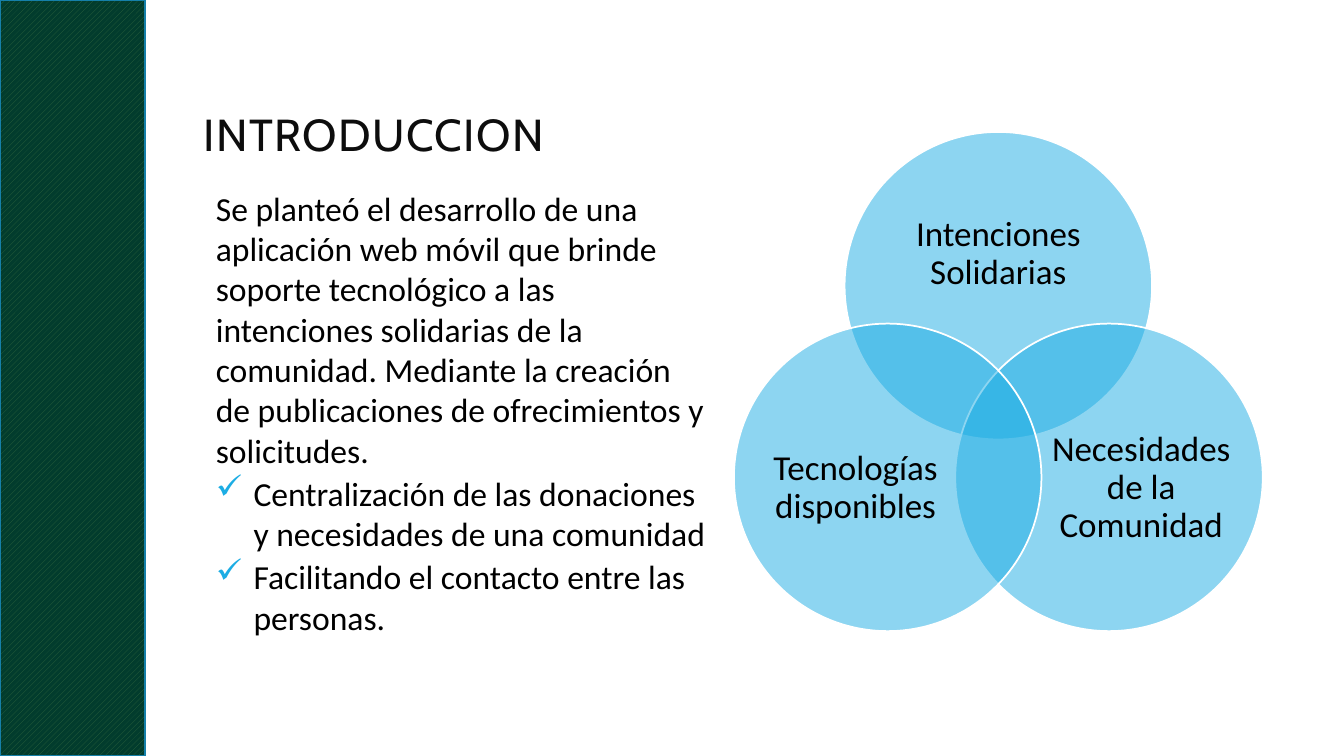
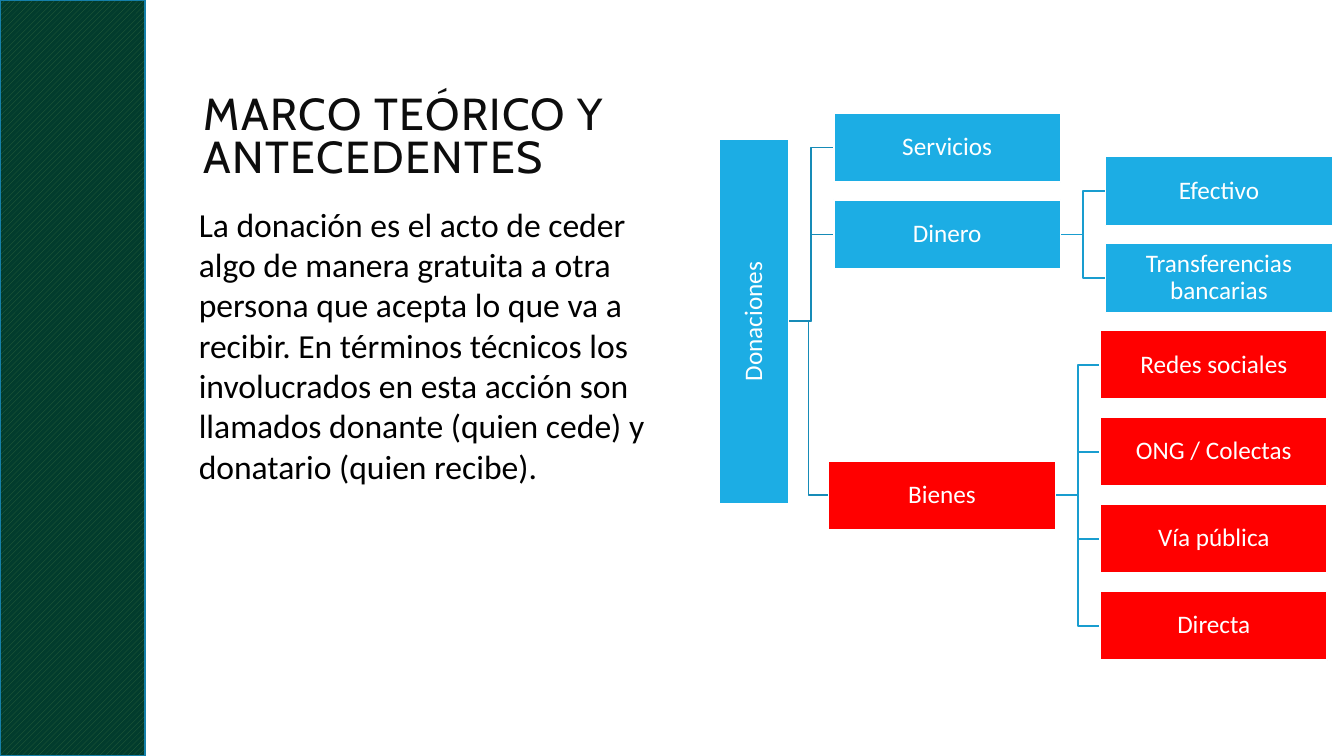
import math

from lxml import etree
from pptx import Presentation
from pptx import util as u
from pptx.dml.color import RGBColor
from pptx.enum import dml, shapes, text
from pptx.oxml.ns import qn

BLUE = RGBColor(0x1C, 0xAD, 0xE4)
RED = RGBColor(0xFF, 0x00, 0x00)
WHITE = RGBColor(0xFF, 0xFF, 0xFF)
BLACK = RGBColor(0x00, 0x00, 0x00)
TITLE_INK = RGBColor(0x0D, 0x0D, 0x0D)
BAND_DARK = RGBColor(0x02, 0x3C, 0x2D)
BAND_STRIPE = RGBColor(0x2F, 0x66, 0x3E)
BAND_EDGE = RGBColor(0x15, 0x80, 0xA9)
TRUNK_LINE = RGBColor(0x16, 0x8B, 0xB7)
BRANCH_LINE = RGBColor(0x19, 0x9D, 0xCF)

TITLE_FONT, BODY_FONT = "Cabin", "Calibri"
LINE_WIDTH = u.Pt(1.25)
CENTER = text.PP_ALIGN.CENTER


class Deck:
    """Holds the presentation, its style and the current slide."""

    def __init__(self):
        """Start a wide, empty presentation."""
        self.presentation = Presentation()
        self.presentation.slide_width = u.Cm(33.87)
        self.presentation.slide_height = u.Cm(19.05)
        self.slide = None

    def new_slide(self, title):
        """Add a slide with the shared title style and side band."""
        layout = self.presentation.slide_layouts.get_by_name("Title Only")
        self.slide = self.presentation.slides.add_slide(layout)
        shape = self.slide.shapes.title
        shape.left, shape.top = u.Cm(4.88), u.Cm(2.44)
        shape.width, shape.height = u.Cm(13.79), u.Cm(2.13)
        frame = shape.text_frame
        frame.auto_size = text.MSO_AUTO_SIZE.NONE
        frame.vertical_anchor = text.MSO_ANCHOR.MIDDLE
        paragraph = frame.paragraphs[0]
        paragraph.alignment = text.PP_ALIGN.LEFT
        paragraph.line_spacing = 0.8
        run = self.run(paragraph, title, 32, TITLE_INK, TITLE_FONT)
        run._r.get_or_add_rPr().set("spc", "100")

        band = self.shape(shapes.MSO_SHAPE.RECTANGLE, 0, 0, 3.66, 19.05,
                          BAND_DARK, BAND_EDGE)
        band.fill.patterned()
        band.fill.pattern = dml.MSO_PATTERN.WIDE_UPWARD_DIAGONAL
        band.fill.fore_color.rgb = BAND_STRIPE
        band.fill.back_color.rgb = BAND_DARK

    def run(self, paragraph, words, size, color, font=BODY_FONT):
        """Add one formatted run to a paragraph."""
        run = paragraph.add_run()
        run.text = words
        run.font.size = u.Pt(size)
        run.font.name = font
        run.font.color.rgb = color
        return run

    def shape(self, kind, left, top, width, height, fill, line=WHITE):
        """Add a flat preset shape."""
        shape = self.slide.shapes.add_shape(
            kind, u.Cm(left), u.Cm(top), u.Cm(width), u.Cm(height))
        shape.shadow.inherit = False
        shape.fill.solid()
        shape.fill.fore_color.rgb = fill
        shape.line.color.rgb = line
        shape.line.width = LINE_WIDTH
        return shape

    def frame(self, shape, margin):
        """Return a wrapping text frame with equal margins."""
        frame = shape.text_frame
        frame.word_wrap = True
        frame.margin_left = frame.margin_right = u.Cm(margin)
        frame.margin_top = frame.margin_bottom = u.Cm(margin)
        return frame

    def label(self, shape, words, size, color, margin=0.0):
        """Centre a label in a shape or text box."""
        frame = self.frame(shape, margin)
        frame.vertical_anchor = text.MSO_ANCHOR.MIDDLE
        paragraph = frame.paragraphs[0]
        paragraph.alignment = CENTER
        paragraph.line_spacing = 0.9
        self.run(paragraph, words, size, color)

    def text_box(self, left, top, width, height):
        """Add an empty text box."""
        return self.slide.shapes.add_textbox(
            u.Cm(left), u.Cm(top), u.Cm(width), u.Cm(height))

    def body(self, left, top, width, height, intro, points=()):
        """Add an introduction, followed by ticked points."""
        frame = self.frame(self.text_box(left, top, width, height), 0.13)
        for index, words in enumerate([intro, *points]):
            paragraph = frame.add_paragraph() if index else frame.paragraphs[0]
            paragraph.space_after = u.Pt(2)
            if index:
                self.tick(paragraph)
            self.run(paragraph, words, 24, BLACK)

    def tick(self, paragraph):
        """Give a paragraph a hanging tick bullet."""
        properties = paragraph._p.get_or_add_pPr()
        indent = u.Cm(0.95)
        properties.set("marL", str(indent))
        properties.set("indent", str(-indent))
        color = etree.SubElement(properties, qn("a:buClr"))
        etree.SubElement(color, qn("a:srgbClr"), val=str(BLUE))
        etree.SubElement(properties, qn("a:buChar"), char="✓")

    def circle(self, center_x, center_y, diameter):
        """Add a half-transparent circle."""
        circle = self.shape(shapes.MSO_SHAPE.OVAL, center_x - diameter / 2,
                            center_y - diameter / 2, diameter, diameter, BLUE)
        color = circle._element.spPr.find(qn("a:solidFill"))[0]
        etree.SubElement(color, qn("a:alpha"), val="50000")

    def box(self, center_x, center_y, width, height, words, fill, rotation=0):
        """Add a labelled box around a centre point."""
        box = self.shape(shapes.MSO_SHAPE.RECTANGLE, center_x - width / 2,
                         center_y - height / 2, width, height, fill)
        box.rotation = rotation
        self.label(box, words, 18, WHITE, 0.03)

    def elbow(self, start_x, start_y, end_x, end_y, color):
        """Join two points with an elbow connector."""
        connector = self.slide.shapes.add_connector(
            shapes.MSO_CONNECTOR.ELBOW, u.Cm(start_x), u.Cm(start_y),
            u.Cm(end_x), u.Cm(end_y))
        connector.line.color.rgb = color
        connector.line.width = LINE_WIDTH
        etree.SubElement(connector._element.spPr, qn("a:effectLst"))


def introduction(deck):
    """Build the introduction with its Venn diagram."""
    deck.new_slide("INTRODUCCION")
    deck.body(
        5.31, 4.6, 12.78, 13.23,
        "Se planteó el desarrollo de una aplicación web móvil que brinde "
        "soporte tecnológico a las intenciones solidarias de la comunidad. "
        "Mediante la creación de publicaciones de ofrecimientos y solicitudes.",
        ["Centralización de las donaciones y necesidades de una comunidad",
         "Facilitando el contacto entre las personas."])
    venn_x, venn_y, reach, diameter = 25.16, 10.42, 3.22, 7.75
    # Words, angle, label offset from the circle's centre, label size
    circles = [
        ("Intenciones Solidarias", -90, 0, -0.79, 5.66, 3.48),
        ("Necesidades de la Comunidad", 30, 0.81, 0.27, 4.65, 4.27),
        ("Tecnologías disponibles", 150, -0.81, 0.27, 4.65, 4.27),
    ]
    for words, angle, shift_x, shift_y, width, height in circles:
        x = venn_x + reach * math.cos(math.radians(angle))
        y = venn_y + reach * math.sin(math.radians(angle))
        deck.circle(x, y, diameter)
        label = deck.text_box(x + shift_x - width / 2,
                              y + shift_y - height / 2, width, height)
        deck.label(label, words, 25, BLACK)


def background(deck):
    """Build the theory slide with its tree of donations."""
    deck.new_slide("MARCO TEÓRICO Y ANTECEDENTES")
    box_width, box_height = 5.72, 1.74
    root_x, root_length, root_row = 19.0, 9.19, 2
    columns = [23.87, 30.72]
    first_y, pitch, red_shift = 3.72, 2.19, -0.13
    # Words, column, row, fill, row of the parent box
    nodes = [
        ("Servicios", 0, 0, BLUE, root_row),
        ("Dinero", 0, 1, BLUE, root_row),
        ("Efectivo", 1, 0.5, BLUE, 1),
        ("Transferencias bancarias", 1, 1.5, BLUE, 1),
        ("Bienes", 0, 4, RED, root_row),
        ("Redes sociales", 1, 2.5, RED, 4),
        ("ONG / Colectas", 1, 3.5, RED, 4),
        ("Vía pública", 1, 4.5, RED, 4),
        ("Directa", 1, 5.5, RED, 4),
    ]

    def center(column, row, fill):
        """Return the centre of a tree box."""
        shift = red_shift if fill == RED else 0
        return columns[column] + shift, first_y + row * pitch

    for _, column, row, fill, parent_row in nodes:
        x, y = center(column, row, fill)
        parent_x, parent_y = center(0, parent_row, fill)
        if column == 0:
            start_x, color = root_x + box_height / 2, TRUNK_LINE
        else:
            start_x, color = parent_x + box_width / 2, BRANCH_LINE
        deck.elbow(start_x, parent_y, x - box_width / 2, y, color)

    deck.box(root_x, first_y + root_row * pitch, root_length, box_height,
             "Donaciones", BLUE, 270)
    for words, column, row, fill, _ in nodes:
        deck.box(*center(column, row, fill), box_width, box_height, words, fill)

    deck.body(
        4.88, 5, 12.62, 7.44,
        "La donación es el acto de ceder algo de manera gratuita a otra "
        "persona que acepta lo que va a recibir. En términos técnicos los "
        "involucrados en esta acción son llamados donante (quien cede) y "
        "donatario (quien recibe).")


deck = Deck()
introduction(deck)
background(deck)
deck.presentation.save("out.pptx")
